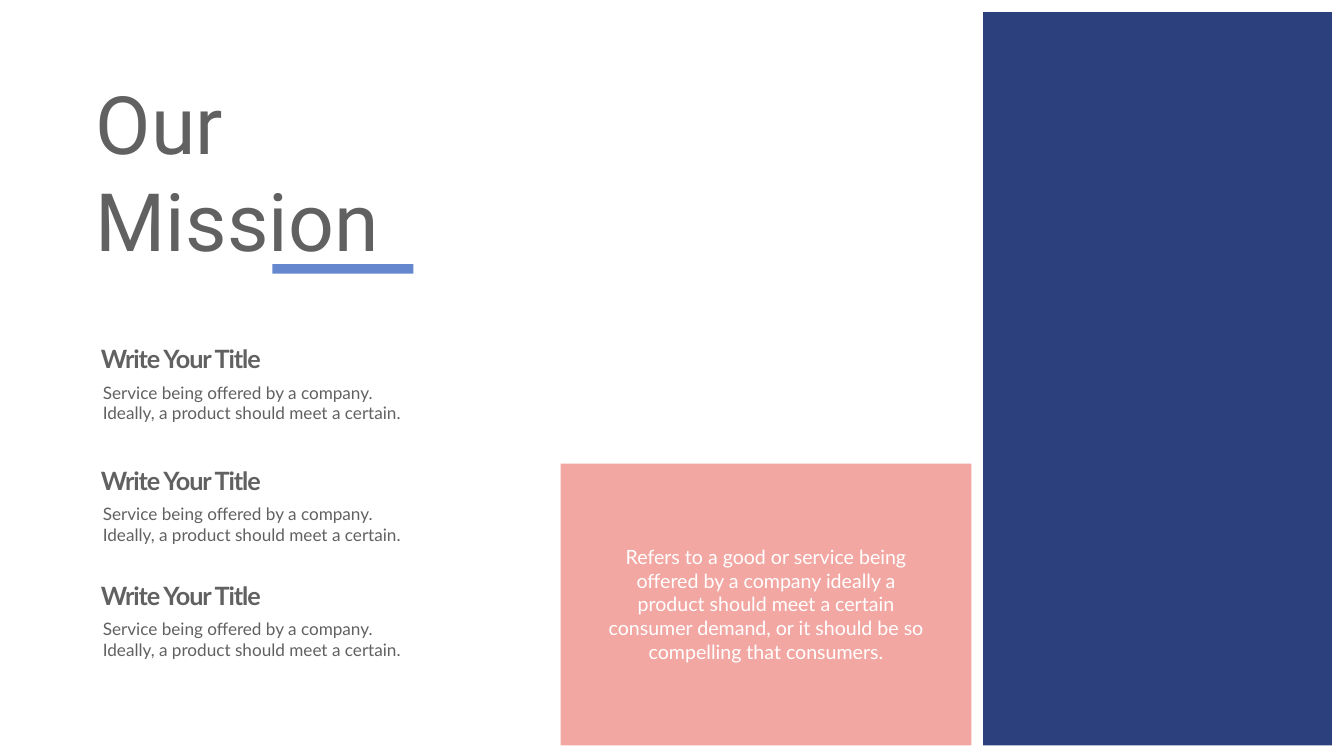
import pptx
import pptx.util
import pptx.dml.color
import pptx.enum.shapes
import pptx.enum.text

RGB = pptx.dml.color.RGBColor
ALIGN = pptx.enum.text.PP_ALIGN
NAVY = RGB(0x2C, 0x40, 0x7E)
PINK = RGB(0xF3, 0xA7, 0xA3)
BLUE = RGB(0x65, 0x87, 0xCD)
GREY = RGB(0x60, 0x61, 0x60)
WHITE = RGB(0xFF, 0xFF, 0xFF)

# Content
TITLE = ["Our", "Mission"]
QUOTE = ("Refers to a good or service being offered by a company ideally a "
         "product should meet a certain consumer demand, or it should be so "
         "compelling that consumers.")
BODY = ("Service being offered by a company. "
        "Ideally, a product should meet a certain.")
ITEMS = [  # top in percent of the slide's height, heading, text
    (45.13, "Write Your Title", BODY),
    (61.2, "Write Your Title", BODY),
    (76.4, "Write Your Title", BODY),
]

# Blocks: left, top, width, height in percent of the slide
PANEL = (73.14, 1.6, 25.96, 97)
CARD = (41.71, 61.33, 30.57, 37.27)
RULE = (20.26, 34.93, 10.5, 1.27)

WIDE, TALL = 26.66, 15
PAD = (0.24, 0.12)  # side and top insets in inches

deck = pptx.Presentation()
deck.slide_width = pptx.util.Inches(WIDE)
deck.slide_height = pptx.util.Inches(TALL)
slide = deck.slides.add_slide(deck.slide_layouts[6])


def place(area):
    """Turn percentages of the slide into lengths."""
    return [pptx.util.Inches(part * side / 100)
            for part, side in zip(area, (WIDE, TALL) * 2)]


def add_block(area, fill):
    block = slide.shapes.add_shape(
        pptx.enum.shapes.MSO_SHAPE.RECTANGLE, *place(area))
    block.shadow.inherit = False
    block.fill.solid()
    block.fill.fore_color.rgb = fill
    block.line.fill.background()


def add_text(area, lines, size, font="Lato", color=GREY, bold=False,
             align=ALIGN.LEFT, pad=(0.1, 0.05), track=0):
    frame = slide.shapes.add_textbox(*place(area)).text_frame
    frame.word_wrap = True
    frame.margin_left = frame.margin_right = pptx.util.Inches(pad[0])
    frame.margin_top = frame.margin_bottom = pptx.util.Inches(pad[1])
    for num, line in enumerate(lines):
        para = frame.add_paragraph() if num else frame.paragraphs[0]
        para.alignment = align
        run = para.add_run()
        run.text = line
        run.font.name = font
        run.font.size = pptx.util.Pt(size)
        run.font.bold = bold
        run.font.color.rgb = color
        if track:  # letter spacing in points
            run._r.get_or_add_rPr().set("spc", str(int(track * 100)))


# Colour blocks
add_block(PANEL, NAVY)
add_block(CARD, PINK)

# Title and its underline
add_text((6.75, 9.47, 24.53, 26.47), TITLE, 115, font="Roboto")
add_block(RULE, BLUE)

# Text on the card
add_text((44.22, 71.33, 25.54, 17.33), [QUOTE], 28, color=WHITE,
         align=ALIGN.CENTER, pad=PAD)

# Headings, each with its text below
for top, head, body in ITEMS:
    add_text((6.75, top + 4.6, 24.01, 7.07), [body], 24.5, pad=PAD)
    add_text((7.13, top, 17.22, 4.73), [head], 36, bold=True, track=-1.5)

deck.save("out.pptx")
